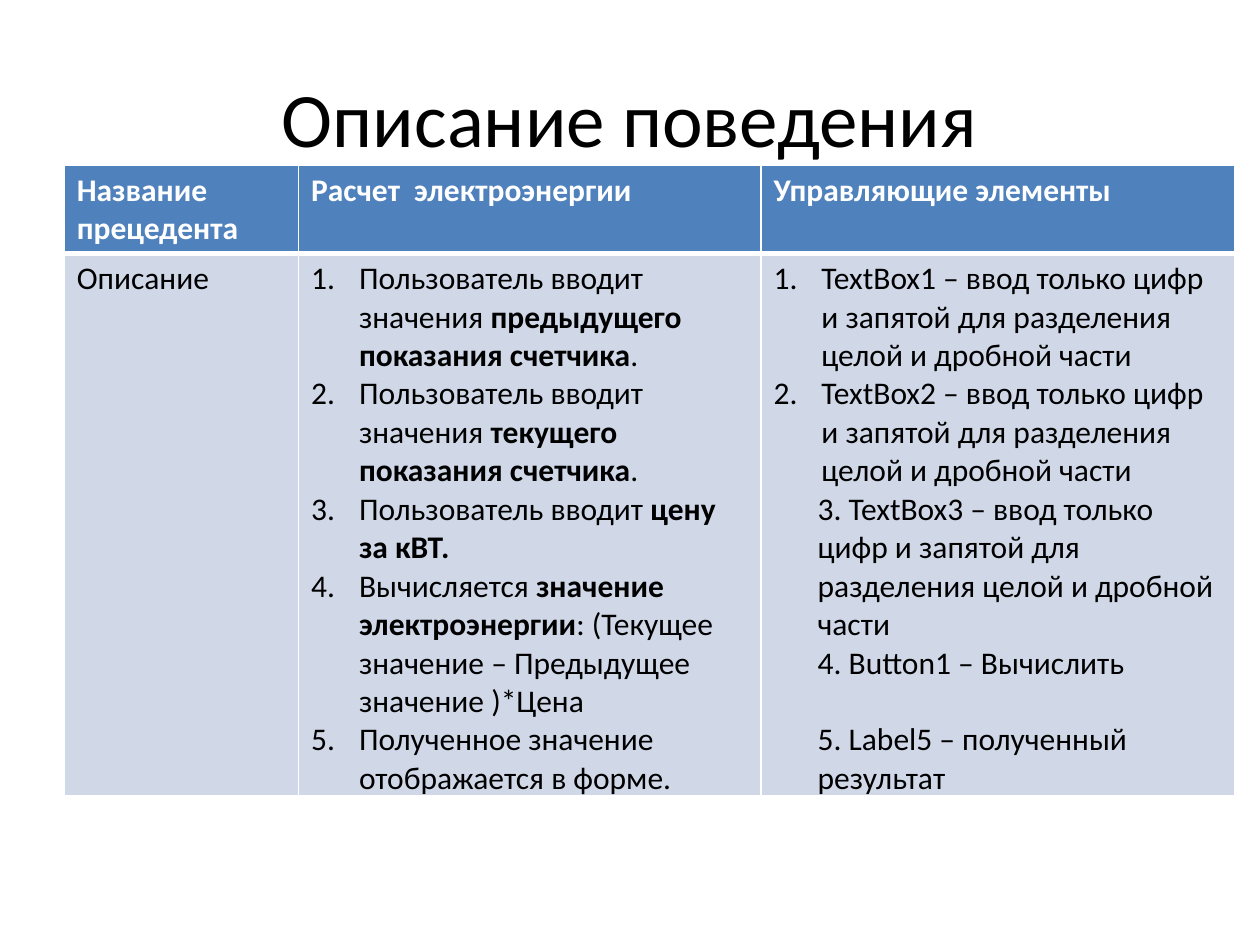
from lxml import etree
from pptx import Presentation
from pptx.dml.color import RGBColor
from pptx.enum.text import MSO_ANCHOR, PP_ALIGN
from pptx.oxml.ns import qn
from pptx.util import Inches, Pt

MIDDLE = MSO_ANCHOR.MIDDLE
CENTER = PP_ALIGN.CENTER
BLACK = RGBColor(0x00, 0x00, 0x00)
WHITE = RGBColor(0xFF, 0xFF, 0xFF)
BLUE = RGBColor(0x4F, 0x81, 0xBD)
PALE = RGBColor(0xD0, 0xD8, 0xE8)
FONT = "Calibri"
HANG = 0.38
INDENT = 0.35
GAP = 22

COLS = [1.86, 3.67, 3.76]
ROWS = [0.7, 4.3]
HEADS = ["Название прецедента", "Расчет  электроэнергии", "Управляющие элементы"]
STEPS = [
    [("Пользователь вводит значения ", False),
     ("предыдущего показания счетчика", True), (".", False)],
    [("Пользователь вводит значения ", False),
     ("текущего показания счетчика", True), (".", False)],
    [("Пользователь вводит ", False), ("цену за кВТ.", True)],
    [("Вычисляется ", False), ("значение электроэнергии", True),
     (": (Текущее значение – Предыдущее значение )*Цена", False)],
    [("Полученное значение отображается в форме.", False)],
]
RULE = " – ввод только цифр и запятой для разделения целой и дробной части"
INPUTS = ["TextBox1" + RULE, "TextBox2" + RULE]
OTHERS = [("3. TextBox3" + RULE, 0), ("4. Button1 – Вычислить", 0),
          ("5. Label5 – полученный результат", GAP)]


def add_run(para, text, size=18, color=BLACK, bold=False):
    run = para.add_run()
    run.text = text
    font = run.font
    font.name = FONT
    font.size = Pt(size)
    font.bold = bold
    font.color.rgb = color


def next_para(frame):
    first = frame.paragraphs[0]
    return frame.add_paragraph() if first.runs else first


def add_step(frame, parts):
    para = next_para(frame)
    props = para._p.get_or_add_pPr()
    props.set("marL", str(Inches(HANG)))
    props.set("indent", str(-Inches(HANG)))
    etree.SubElement(props, qn("a:buFont"), typeface=FONT)
    etree.SubElement(props, qn("a:buAutoNum"), type="arabicPeriod")
    for text, bold in parts:
        add_run(para, text, bold=bold)


def add_note(frame, text, gap):
    para = next_para(frame)
    props = para._p.get_or_add_pPr()
    props.set("marL", str(Inches(INDENT)))
    props.set("indent", "0")
    if gap:
        para.space_before = Pt(gap)
    add_run(para, text)


def add_edge(cell, side, width):
    line = etree.SubElement(cell._tc.get_or_add_tcPr(), qn("a:ln" + side),
                            w=str(Pt(width)))
    fill = etree.SubElement(line, qn("a:solidFill"))
    etree.SubElement(fill, qn("a:srgbClr"), val=str(WHITE))


def style_cell(cell, color, top, bottom):
    for side, width in zip("LRTB", (1, 1, top, bottom)):
        add_edge(cell, side, width)
    cell.fill.solid()
    cell.fill.fore_color.rgb = color


def add_title(slide, text):
    box = slide.shapes.add_textbox(Inches(0.5), Inches(0.3), Inches(9), Inches(1.25))
    frame = box.text_frame
    frame.word_wrap = True
    frame.vertical_anchor = MIDDLE
    para = frame.paragraphs[0]
    para.alignment = CENTER
    add_run(para, text, size=44)


def add_grid(slide):
    shape = slide.shapes.add_table(len(ROWS), len(COLS), Inches(0.51), Inches(1.31),
                                   Inches(sum(COLS)), Inches(sum(ROWS)))
    grid = shape.table
    for col, width in zip(grid.columns, COLS):
        col.width = Inches(width)
    for row, height in zip(grid.rows, ROWS):
        row.height = Inches(height)
    for index, head in enumerate(HEADS):
        cell = grid.cell(0, index)
        style_cell(cell, BLUE, 1, 3)
        add_run(cell.text_frame.paragraphs[0], head, color=WHITE, bold=True)
        style_cell(grid.cell(1, index), PALE, 3, 1)
    return grid


def fill_body(grid):
    label, steps, parts = [grid.cell(1, index).text_frame for index in range(len(COLS))]
    add_run(label.paragraphs[0], "Описание")
    for step in STEPS:
        add_step(steps, step)
    for text in INPUTS:
        add_step(parts, [(text, False)])
    for text, gap in OTHERS:
        add_note(parts, text, gap)


def main():
    deck = Presentation()
    deck.slide_width = Inches(10)
    deck.slide_height = Inches(7.5)
    slide = deck.slides.add_slide(deck.slide_layouts[6])
    add_title(slide, "Описание поведения")
    fill_body(add_grid(slide))
    deck.save("out.pptx")


if __name__ == "__main__":
    main()
